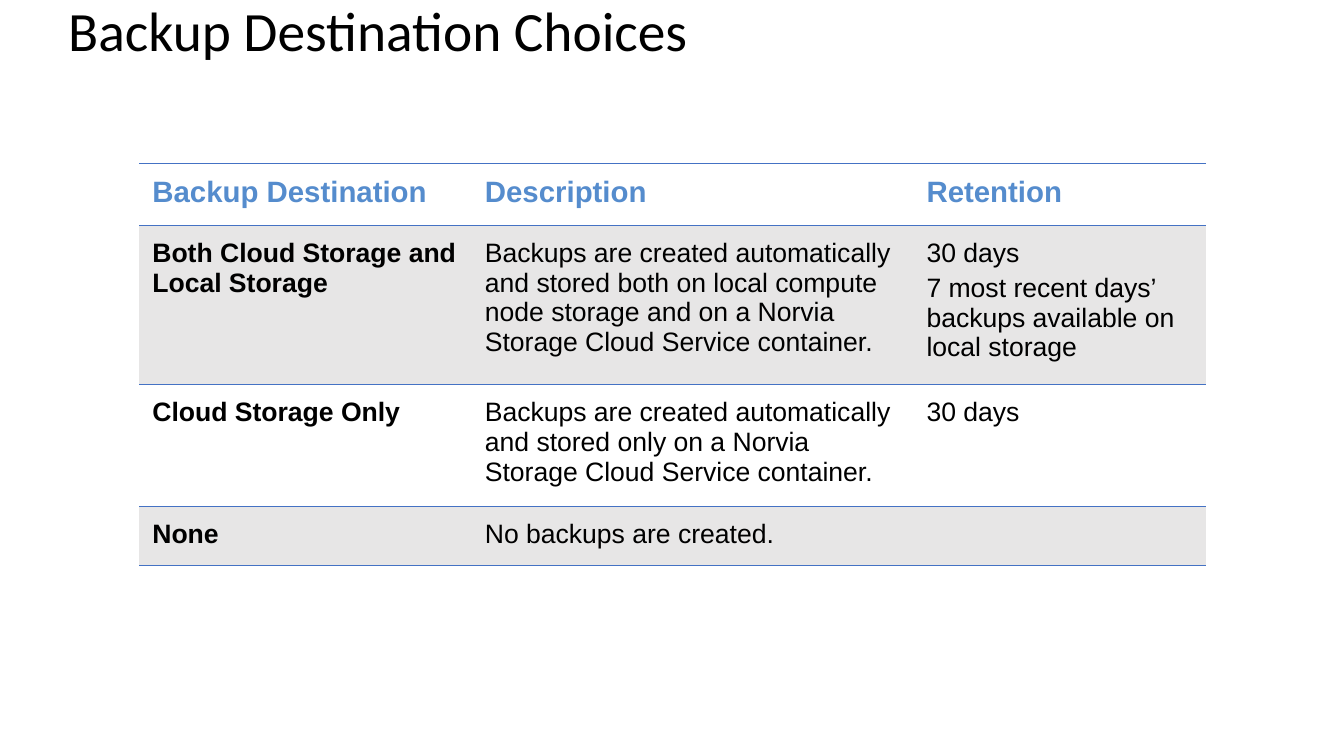
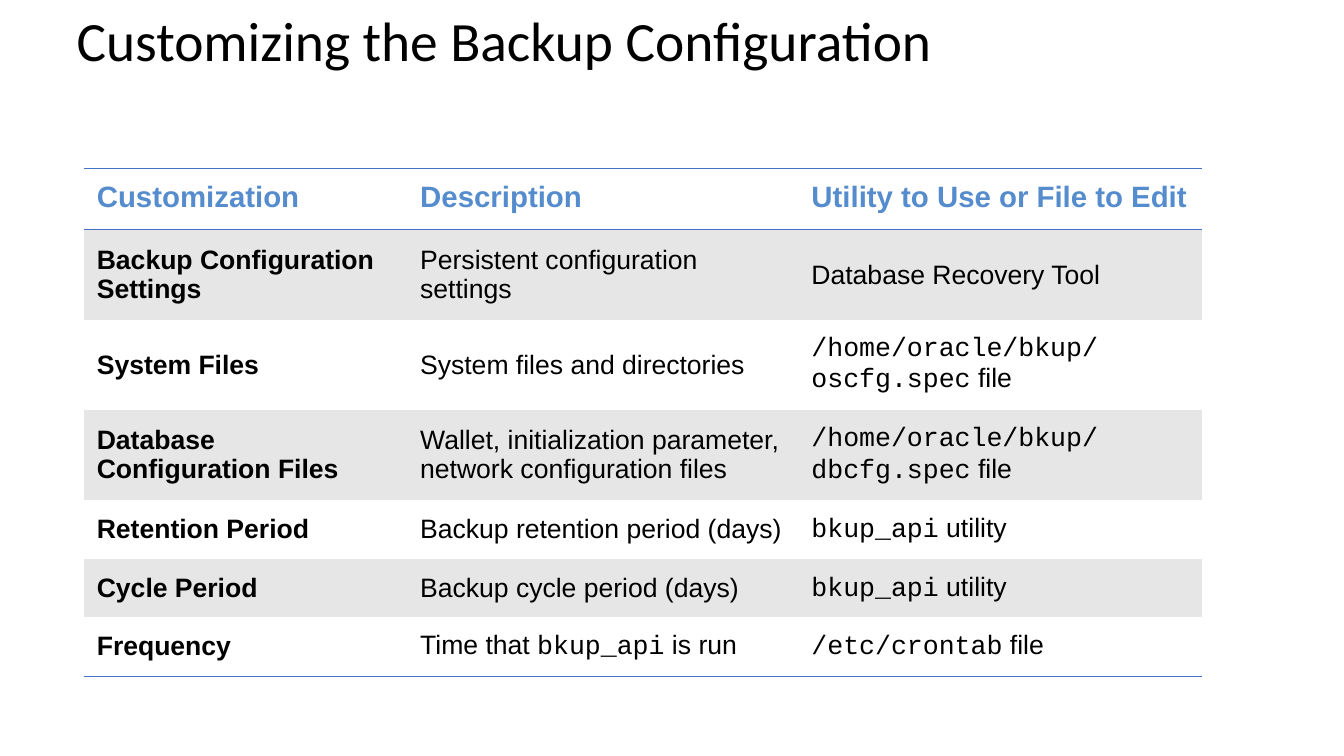
"""Build two slides on backup destinations and backup customization."""
from lxml import etree
from pptx import Presentation
from pptx import util as u
from pptx.dml.color import RGBColor
from pptx.enum import text
from pptx.oxml.ns import qn


def colour(value):
    return RGBColor.from_string(value)


class Deck:
    BLACK, WHITE, GREY = "000000", "FFFFFF", "E7E6E6"
    RULE, HEADING = "4472C4", "558CCD"
    TITLE_FONT, BODY_FONT, CODE_FONT = "Calibri", "Arial", "Courier New"
    TITLE_SIZE, HEADING_SIZE, BODY_SIZE = 39.6, 21, 19
    CELL_MARGIN = u.Cm(0.33)

    def __init__(self):
        self.deck = Presentation()
        self.deck.slide_width = u.Cm(33.87)
        self.deck.slide_height = u.Cm(19.05)
        self.slide = None

    def new_slide(self):
        self.slide = self.deck.slides.add_slide(self.deck.slide_layouts[6])

    def run(self, paragraph, words, size, font, ink, bold=False):
        run = paragraph.add_run()
        run.text = words
        run.font.size = u.Pt(size)
        run.font.name = font
        run.font.bold = bold
        run.font.color.rgb = colour(ink)

    def title(self, words, left, top, width, height):
        box = self.slide.shapes.add_textbox(*map(u.Cm, (left, top, width, height)))
        frame = box.text_frame
        frame.word_wrap = True
        frame.vertical_anchor = text.MSO_ANCHOR.MIDDLE
        heading = frame.paragraphs[0]
        heading.line_spacing = 0.9
        self.run(heading, words, self.TITLE_SIZE, self.TITLE_FONT, self.BLACK)

    def border(self, cell, side, ruled):
        line = etree.SubElement(cell._tc.get_or_add_tcPr(), qn(f"a:ln{side}"), w="12700")
        if ruled:
            fill = etree.SubElement(line, qn("a:solidFill"))
            etree.SubElement(fill, qn("a:srgbClr"), val=self.RULE)
        else:
            etree.SubElement(line, qn("a:noFill"))

    def cell_text(self, cell, words, header, bold):
        size = self.HEADING_SIZE if header else self.BODY_SIZE
        ink = self.HEADING if header else self.BLACK
        for index, line in enumerate(words.split("\n")):
            frame = cell.text_frame
            paragraph = frame.add_paragraph() if index else frame.paragraphs[0]
            if index:
                paragraph.space_before = u.Pt(4)
            for part, piece in enumerate(line.split("`")):
                if piece:
                    font = self.CODE_FONT if part % 2 else self.BODY_FONT
                    self.run(paragraph, piece, size, font, ink, bold)

    def table(self, rows, left, top, widths, heights, rules, body_anchor):
        """Draw rows; backticks mark code and rules lists the ruled row edges."""
        frame = self.slide.shapes.add_table(
            len(rows), len(widths), u.Cm(left), u.Cm(top),
            u.Cm(sum(widths)), u.Cm(sum(heights)))
        table = frame.table
        table.first_row = table.horz_banding = False
        for column, width in zip(table.columns, widths):
            column.width = u.Cm(width)
        for r, (row, height) in enumerate(zip(rows, heights)):
            table.rows[r].height = u.Cm(height)
            for c, words in enumerate(row):
                cell = table.cell(r, c)
                cell.margin_left = cell.margin_right = self.CELL_MARGIN
                cell.margin_top = cell.margin_bottom = self.CELL_MARGIN
                cell.vertical_anchor = body_anchor if r else text.MSO_ANCHOR.TOP
                for side, ruled in (("L", False), ("R", False),
                                    ("T", r in rules), ("B", r + 1 in rules)):
                    self.border(cell, side, ruled)
                cell.fill.solid()
                cell.fill.fore_color.rgb = colour(self.GREY if r % 2 else self.WHITE)
                self.cell_text(cell, words, r == 0, r == 0 or c == 0)


DESTINATIONS = [
    ("Backup Destination", "Description", "Retention"),
    ("Both Cloud Storage and Local Storage",
     "Backups are created automatically and stored both on local compute node "
     "storage and on an Norvia Storage Cloud Service container.".replace("an Norvia", "a Norvia"),
     "30 days\n7 most recent days’ backups available on local storage"),
    ("Cloud Storage Only",
     "Backups are created automatically and stored only on a Norvia "
     "Storage Cloud Service container.",
     "30 days"),
    ("None", "No backups are created.", ""),
]
DESTINATIONS[1] = (
    DESTINATIONS[1][0], DESTINATIONS[1][1], DESTINATIONS[1][2])

CUSTOMIZATIONS = [
    ("Customization", "Description", "Utility to Use or File to Edit"),
    ("Backup Configuration Settings", "Persistent configuration settings",
     "Database Recovery Tool"),
    ("System Files", "System files and directories",
     "`/home/oracle/bkup/oscfg.spec` file"),
    ("Database Configuration Files",
     "Wallet, initialization parameter, network configuration files",
     "`/home/oracle/bkup/dbcfg.spec` file"),
    ("Retention Period", "Backup retention period (days)", "`bkup_api` utility"),
    ("Cycle Period", "Backup cycle period (days)", "`bkup_api` utility"),
    ("Frequency", "Time that `bkup_api` is run", "`/etc/crontab` file"),
]


def main():
    deck = Deck()

    deck.new_slide()
    deck.title("Backup Destination Choices", 1.47, 0.08, 25.83, 1.52)
    deck.table(DESTINATIONS, 3.51, 4.11, (8.38, 11.13, 7.37),
               (1.57, 3.84, 3.05, 1.47), range(5), text.MSO_ANCHOR.TOP)

    deck.new_slide()
    deck.title("Customizing the Backup Configuration", 1.68, 0.43, 26.64, 1.32)
    deck.table(CUSTOMIZATIONS, 2.11, 4.24, (8.15, 9.86, 10.16),
               [1.5] + [2.26] * 3 + [1.48] * 3, (0, 1, 7), text.MSO_ANCHOR.MIDDLE)

    deck.deck.save("out.pptx")


if __name__ == "__main__":
    main()
